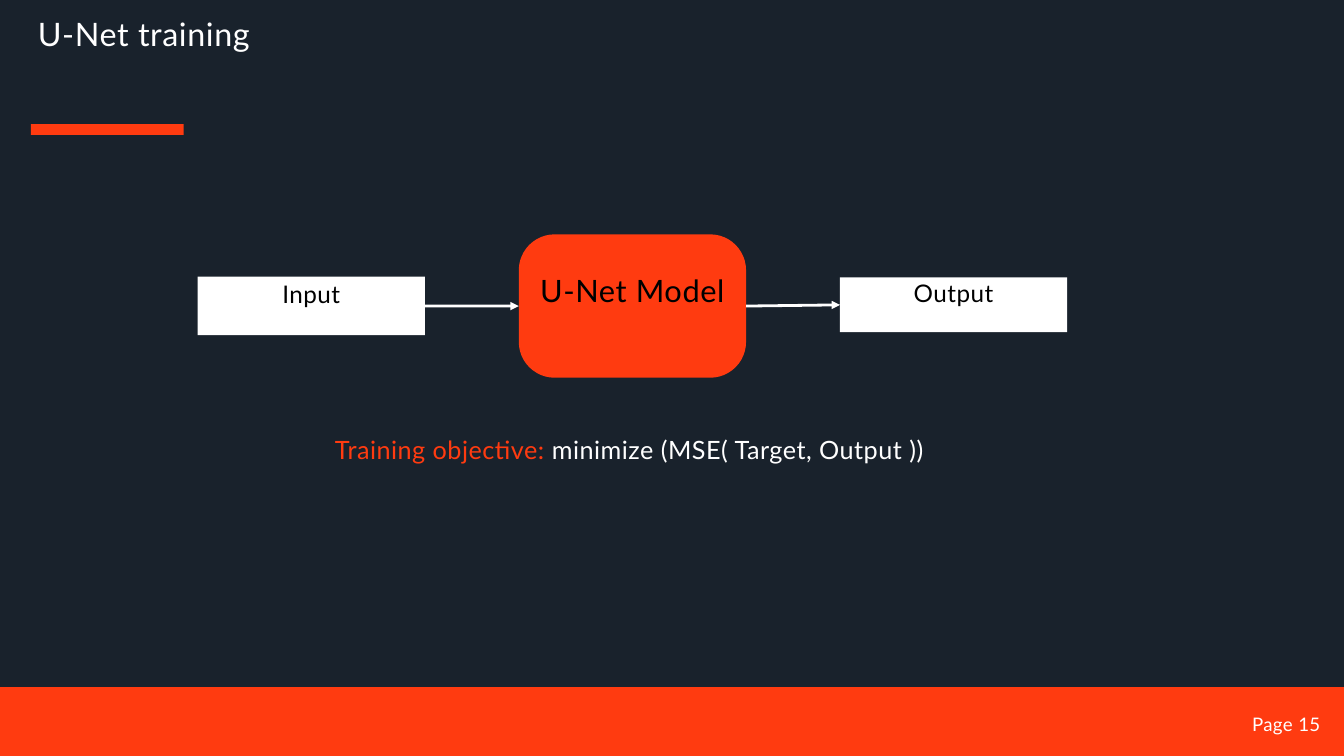
from lxml.etree import SubElement
from pptx import Presentation
from pptx.dml.color import RGBColor
from pptx.enum.shapes import MSO_CONNECTOR, MSO_SHAPE
from pptx.enum.text import MSO_ANCHOR, MSO_AUTO_SIZE, PP_ALIGN
from pptx.oxml.ns import qn
from pptx.util import Cm, Pt

COLORS = {"navy": "19222C", "orange": "FF3B10", "white": "FFFFFF", "black": "000000"}
FONT = "Lato"
WIDTH, HEIGHT = 50.8, 28.58


def color(name):
    return RGBColor.from_string(COLORS[name])


def write(box, spans, size, align=PP_ALIGN.LEFT, anchor=MSO_ANCHOR.TOP, inset=0):
    """Fill a box with one paragraph of (text, colour) spans."""
    frame = box.text_frame
    frame.word_wrap = True
    frame.auto_size = MSO_AUTO_SIZE.NONE
    frame.vertical_anchor = anchor
    frame.margin_left = frame.margin_right = Cm(inset)
    frame.margin_top = frame.margin_bottom = Cm(inset)
    para = frame.paragraphs[0]
    para.alignment = align
    para.line_spacing = Pt(round(size * 1.4, 1))
    para.space_before = Pt(0)
    for text, tint in spans:
        span = para.add_run()
        span.text = text
        span.font.name = FONT
        span.font.size = Pt(size)
        span.font.color.rgb = color(tint)
        span.font._element.set("spc", str(round(size * 2)))


class Slide:
    def __init__(self, deck):
        self.page = deck.slides.add_slide(deck.slide_layouts[5])
        self.shapes = self.page.shapes
        fill = self.page.background.fill
        fill.solid()
        fill.fore_color.rgb = color("navy")

    def title(self, text, left, top, width, height, size):
        box = self.shapes.title
        box.left, box.top, box.width, box.height = map(Cm, (left, top, width, height))
        write(box, [(text, "white")], size)

    def text(self, spans, left, top, width, height, size, **style):
        box = self.shapes.add_textbox(*map(Cm, (left, top, width, height)))
        write(box, spans, size, **style)

    def block(self, left, top, width, height, fill, kind=MSO_SHAPE.RECTANGLE):
        box = self.shapes.add_shape(kind, *map(Cm, (left, top, width, height)))
        box.shadow.inherit = False
        box.fill.solid()
        box.fill.fore_color.rgb = color(fill)
        box.line.fill.background()
        return box

    def stage(self, name, left, top, width, height, fill, size, lift, **shape):
        """Draw a block whose label is centred in an area that starts higher by lift."""
        box = self.block(left, top, width, height, fill, **shape)
        self.text([(name, "black")], left, top - lift, width, height + lift, size,
                  align=PP_ALIGN.CENTER, anchor=MSO_ANCHOR.MIDDLE, inset=0.15)
        return box

    def arrow(self, source, target):
        """Join the right side of source to the left side of target."""
        line = self.shapes.add_connector(MSO_CONNECTOR.STRAIGHT, 0, 0, 0, 0)
        line.begin_connect(source, 3)
        line.end_connect(target, 1)
        line.line.color.rgb = color("white")
        line.line.width = Pt(3)
        SubElement(line.line._get_or_add_ln(), qn("a:tailEnd"), type="triangle")
        SubElement(line._element.spPr, qn("a:effectLst"))


def main():
    deck = Presentation()
    deck.slide_width, deck.slide_height = Cm(WIDTH), Cm(HEIGHT)
    slide = Slide(deck)

    footer_top = 25.98
    slide.block(0, footer_top, WIDTH, HEIGHT - footer_top, "orange")
    slide.block(1.17, 4.69, 5.77, 0.41, "orange")
    slide.title("U-Net training", 1.43, 0.28, 20.4, 1.85, size=34.6)

    first, width, gap = 7.47, 8.59, 3.55
    lefts = [first + step * (width + gap) for step in range(3)]
    source = slide.stage("Input", lefts[0], 10.46, width, 2.21, "white", size=26, lift=1.09)
    model = slide.stage("U-Net Model", lefts[1], 8.86, width, 5.42, "orange", size=33,
                        lift=1.42, kind=MSO_SHAPE.ROUNDED_RECTANGLE)
    model.adjustments[0] = 0.25
    output = slide.stage("Output", lefts[2], 10.49, width, 2.07, "white", size=26, lift=1.09)
    slide.arrow(source, model)
    slide.arrow(model, output)

    slide.text([("Training objective:", "orange"),
                (" minimize (MSE( Target, Output ))", "white")],
               11.51, 16.23, 24.56, 1.42, size=27, align=PP_ALIGN.CENTER)
    slide.text([("Page 15", "white")], 38.33, 26.8, 11.58, 1.07, size=20, align=PP_ALIGN.RIGHT)

    deck.save("out.pptx")


if __name__ == "__main__":
    main()
